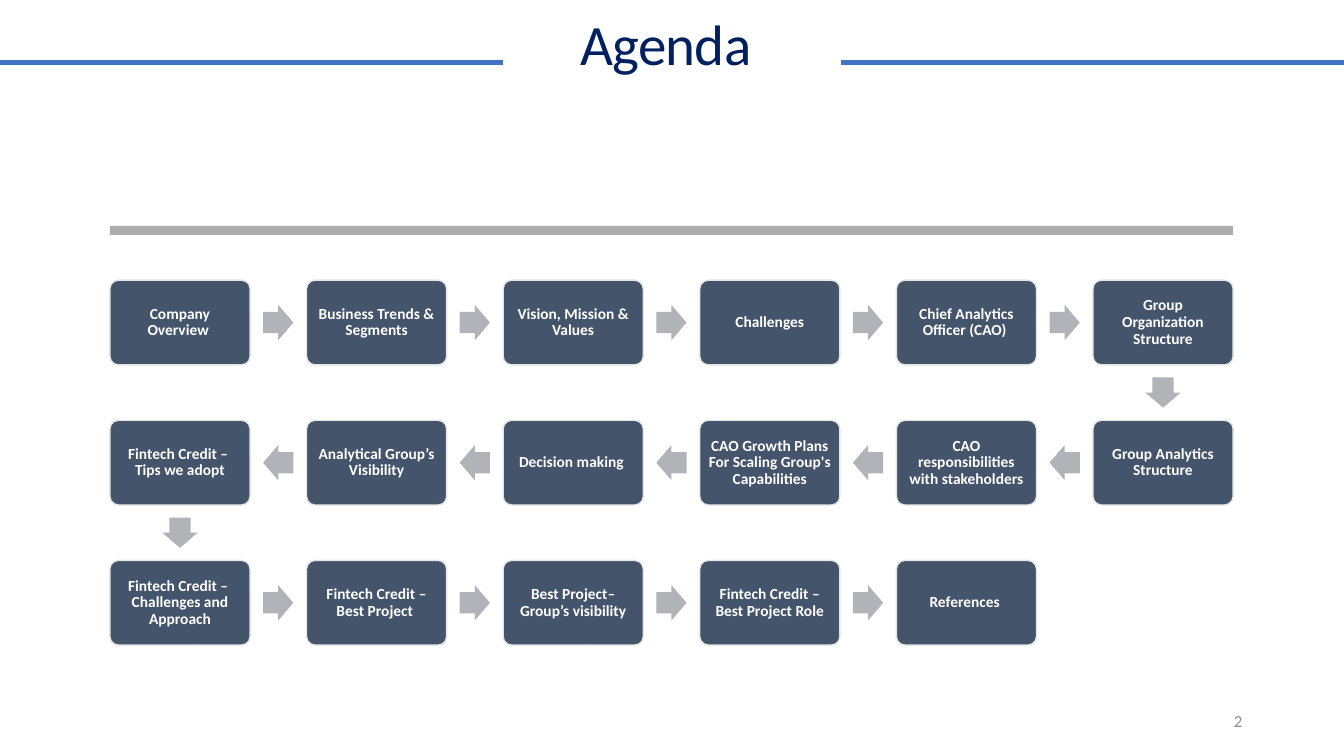
from dataclasses import dataclass
from itertools import pairwise

from lxml import etree
from pptx import Presentation
from pptx.dml.color import RGBColor
from pptx.enum.shapes import MSO_CONNECTOR, MSO_SHAPE
from pptx.enum.text import MSO_ANCHOR, MSO_AUTO_SIZE, PP_ALIGN
from pptx.oxml.ns import qn
from pptx.util import Inches, Pt

RECTANGLE, ROUNDED = MSO_SHAPE.RECTANGLE, MSO_SHAPE.ROUNDED_RECTANGLE
ARROW, STRAIGHT = MSO_SHAPE.RIGHT_ARROW, MSO_CONNECTOR.STRAIGHT
CENTER, RIGHT = PP_ALIGN.CENTER, PP_ALIGN.RIGHT
MIDDLE, NO_FIT = MSO_ANCHOR.MIDDLE, MSO_AUTO_SIZE.NONE


@dataclass(frozen=True)
class Theme:
    font: str = "Calibri"
    title: str = "002060"
    accent: str = "4472C4"
    rule: str = "808080"
    step: str = "44546A"
    step_edge: str = "E7E6E6"
    step_text: str = "FFFFFF"
    arrow: str = "B0B4B9"
    number: str = "8C8C8C"
    title_size: float = 40.7
    step_size: float = 11
    number_size: float = 12


theme = Theme()


def write_text(box, text, size, color, align=CENTER, bold=False,
               line_spacing=1.0, after=6, inset=None):
    frame = box.text_frame
    frame.word_wrap = True
    frame.auto_size = NO_FIT
    frame.vertical_anchor = MIDDLE
    if inset is not None:
        frame.margin_left = frame.margin_right = Inches(inset)
        frame.margin_top = frame.margin_bottom = Inches(inset)
    para = frame.paragraphs[0]
    para.alignment = align
    para.line_spacing = line_spacing
    para.space_before = Pt(0)
    para.space_after = Pt(after)
    span = para.add_run()
    span.text = text
    span.font.name = theme.font
    span.font.size = Pt(size)
    span.font.bold = bold
    span.font.color.rgb = RGBColor.from_string(color)
    return span


def add_filled(kind, left, top, width, height, color):
    shape = page.shapes.add_shape(kind, Inches(left), Inches(top),
                                  Inches(width), Inches(height))
    shape.shadow.inherit = False
    shape.fill.solid()
    shape.fill.fore_color.rgb = RGBColor.from_string(color)
    shape.line.fill.background()
    return shape


deck = Presentation()
deck.slide_width, deck.slide_height = Inches(13.33), Inches(7.5)
page = deck.slides.add_slide(deck.slide_layouts[5])

# Title
title = page.shapes.title
title.left, title.top = Inches(0.95), Inches(0.15)
title.width, title.height = Inches(11.43), Inches(0.68)
heading = write_text(title, "Agenda ", theme.title_size, theme.title,
                     line_spacing=0.8)
heading.font._element.set("spc", "-50")

# Translucent rule above the flow
rule = add_filled(RECTANGLE, 1.09, 2.24, 11.14, 0.09, theme.rule)
rule_color = rule.fill._xPr.find(qn("a:solidFill"))[0]
etree.SubElement(rule_color, qn("a:alpha")).set("val", "65000")

# Page number
number = page.shapes.add_textbox(Inches(9.42), Inches(6.95), Inches(3), Inches(0.4))
write_text(number, "2", theme.number_size, theme.number, align=RIGHT)

# Agenda steps, running right, then left, then right again
STEPS = [
    "Company Overview ", "Business Trends & Segments",
    "Vision, Mission & Values", "Challenges",
    "Chief Analytics Officer (CAO) ", "Group Organization Structure",
    "Group Analytics Structure", "CAO responsibilities with stakeholders",
    "CAO Growth Plans For Scaling Group's Capabilities", "Decision making ",
    "Analytical Group’s Visibility", "Fintech Credit –  Tips we adopt",
    "Fintech Credit –  Challenges and Approach", "Fintech Credit – Best Project ",
    "Best Project– Group’s visibility", "Fintech Credit – Best Project Role",
    "References ",
]
COLUMNS = 6
LEFT, TOP = 1.09, 2.78
STEP_WIDTH, STEP_HEIGHT = 1.39, 0.84
PITCH_X, PITCH_Y = 1.95, 1.39
ARROW_LENGTH, ARROW_WIDTH = 0.3, 0.35

centers = []
for index, label in enumerate(STEPS):
    row, column = divmod(index, COLUMNS)
    if row % 2:
        column = COLUMNS - 1 - column
    left, top = LEFT + column * PITCH_X, TOP + row * PITCH_Y
    step = add_filled(ROUNDED, left, top, STEP_WIDTH, STEP_HEIGHT, theme.step)
    step.adjustments[0] = 0.1
    step.line.color.rgb = RGBColor.from_string(theme.step_edge)
    step.line.width = Pt(1)
    write_text(step, label, theme.step_size, theme.step_text, bold=True,
               line_spacing=0.9, after=4, inset=0.05)
    centers.append((left + STEP_WIDTH / 2, top + STEP_HEIGHT / 2))

# Arrows midway between consecutive steps
for (x1, y1), (x2, y2) in pairwise(centers):
    arrow = add_filled(ARROW, (x1 + x2 - ARROW_LENGTH) / 2,
                       (y1 + y2 - ARROW_WIDTH) / 2,
                       ARROW_LENGTH, ARROW_WIDTH, theme.arrow)
    arrow.adjustments[0] = 0.6
    arrow.adjustments[1] = 0.5
    if y2 > y1:
        arrow.rotation = 90
    elif x2 < x1:
        arrow.rotation = 180

# Lines either side of the title
for start, end in [(0, 4.99), (8.34, 13.33)]:
    line = page.shapes.add_connector(STRAIGHT, Inches(start), Inches(0.62),
                                     Inches(end), Inches(0.62))
    line.line.color.rgb = RGBColor.from_string(theme.accent)
    line.line.width = Pt(3)
    etree.SubElement(line._element.spPr, qn("a:effectLst"))

deck.save("out.pptx")
